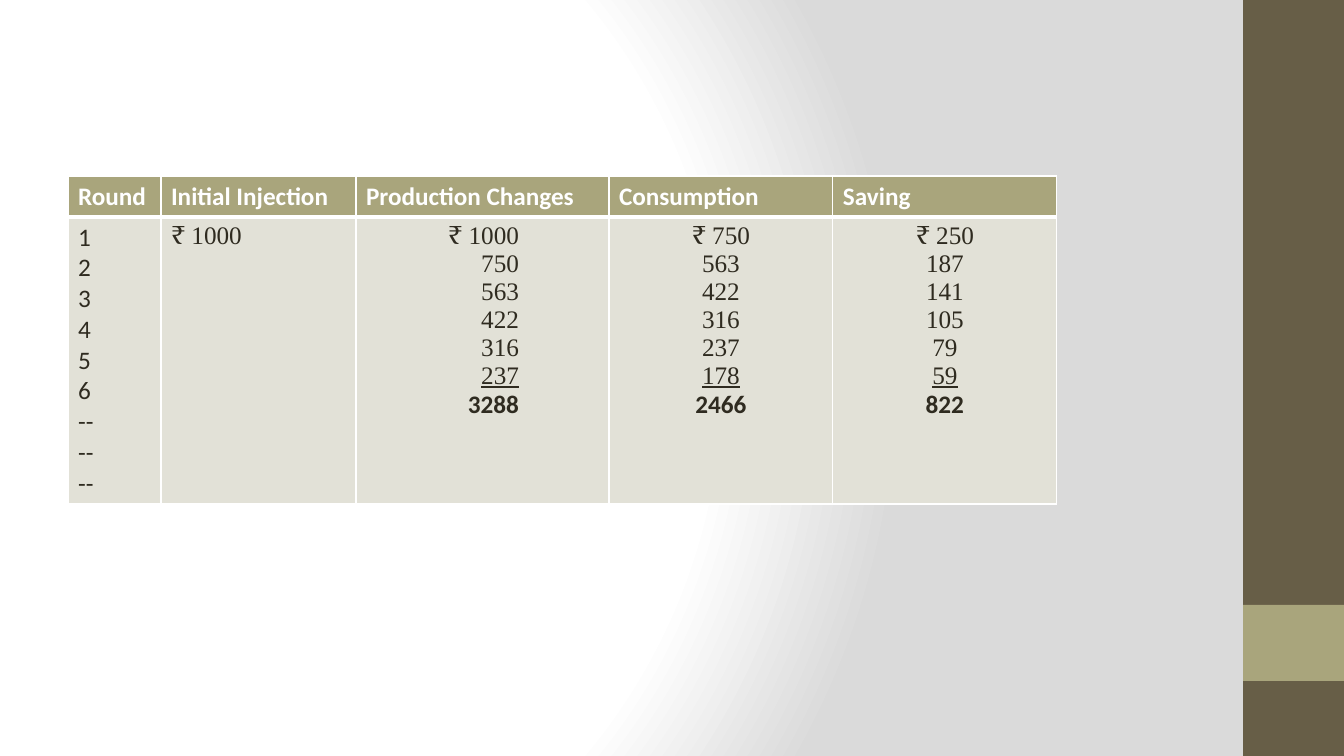
from dataclasses import dataclass

from pptx import Presentation, oxml, util as u
from pptx.dml.color import RGBColor
from pptx.enum import shapes, text
from pptx.oxml.ns import nsdecls, qn

PX = 914400 / 100.8


@dataclass(frozen=True)
class Theme:
    white: str = "FFFFFF"
    grey: str = "DADADA"
    brown: str = "675E47"
    olive: str = "A9A57C"
    pale: str = "E2E1D7"
    ink: str = "2F2B20"
    sans: str = "Calibri"
    serif: str = "Times New Roman"
    size: int = 18
    thin: int = 1
    thick: int = 3


def px(n):
    return u.Emu(round(n * PX))


class Deck:
    def __init__(self, theme):
        self.theme = theme
        self.prs = Presentation()
        self.prs.slide_width, self.prs.slide_height = px(1344), px(756)
        self.slide = self.prs.slides.add_slide(self.prs.slide_layouts[6])

    def glow(self):
        """Fill the background with a radial gradient."""
        fill = self.slide.background.fill
        fill.solid()
        stops = ((0, self.theme.white), (75, self.theme.white), (100, self.theme.grey))
        marks = "".join(
            f'<a:gs pos="{pos * 1000}"><a:srgbClr val="{tint}"/></a:gs>'
            for pos, tint in stops)
        grad = oxml.parse_xml(
            f'<a:gradFill {nsdecls("a")} rotWithShape="1"><a:gsLst>{marks}</a:gsLst>'
            '<a:path path="circle"><a:fillToRect l="20000" t="50000" r="100000" '
            'b="50000"/></a:path></a:gradFill>')
        solid = self.slide.element.find(".//" + qn("p:bgPr")).find(qn("a:solidFill"))
        solid.getparent().replace(solid, grad)

    def bar(self, x, y, w, h, tint):
        box = self.slide.shapes.add_shape(
            shapes.MSO_SHAPE.RECTANGLE, px(x), px(y), px(w), px(h))
        box.shadow.inherit = False
        box.fill.solid()
        box.fill.fore_color.rgb = RGBColor.from_string(tint)
        box.line.fill.background()

    def grid(self, x, y, cols, rows):
        frame = self.slide.shapes.add_table(
            len(rows), len(cols), px(x), px(y), px(sum(cols)), px(sum(rows)))
        table = frame.table
        table.horz_banding = False
        for col, wide in zip(table.columns, cols):
            col.width = px(wide)
        for row, high in zip(table.rows, rows):
            row.height = px(high)
        return table

    def edge(self, cell, **sides):
        props = cell._tc.get_or_add_tcPr()
        for side in "LRTB":
            width = sides.get(side, self.theme.thin)
            props.append(oxml.parse_xml(
                f'<a:ln{side} {nsdecls("a")} w="{u.Pt(width)}"><a:solidFill>'
                f'<a:srgbClr val="{self.theme.white}"/></a:solidFill></a:ln{side}>'))

    def cell(self, cell, lines, tint, ink, face, bold=False, align=None, **sides):
        self.edge(cell, **sides)
        cell.fill.solid()
        cell.fill.fore_color.rgb = RGBColor.from_string(tint)
        cell.text_frame.text = "\n".join(lines)
        for para in cell.text_frame.paragraphs:
            para.alignment = align
            for run in para.runs:
                font = run.font
                font.name, font.size, font.bold = face, u.Pt(self.theme.size), bold
                font.color.rgb = RGBColor.from_string(ink)

    def total(self, cell):
        """Underline the last addend and set the sum in bold."""
        *_, last, result = cell.text_frame.paragraphs
        last.runs[0].font.underline = True
        font = result.runs[0].font
        font.name, font.bold = self.theme.sans, True


HEADS = ["Round", "Initial Injection", "Production Changes", "Consumption", "Saving"]
ROUNDS = ["1", "2", "3", "4", "5", "6", "--", "--", "--"]
START = ["₹ 1000"]
SUMS = [
    ["₹ 1000", "750", "563", "422", "316", "237", "3288"],
    ["₹ 750", "563", "422", "316", "237", "178", "2466"],
    ["₹ 250", "187", "141", "105", "79", "59", "822"],
]


def main():
    look = Theme()
    deck = Deck(look)

    # Background and side bar
    deck.glow()
    deck.bar(1243, 0, 101, 756, look.brown)
    deck.bar(1243, 605, 101, 76, look.olive)

    # Table header
    table = deck.grid(68, 176, [93, 195, 253, 224, 224], [41, 283])
    for col, head in enumerate(HEADS):
        deck.cell(table.cell(0, col), [head], look.olive, look.white, look.sans,
                  bold=True, B=look.thick)

    # Table body
    mid, right = text.PP_ALIGN.CENTER, text.PP_ALIGN.RIGHT
    faces = [look.sans] + [look.serif] * 4
    aligns = [None, None, right, mid, mid]
    for col, lines in enumerate([ROUNDS, START, *SUMS]):
        cell = table.cell(1, col)
        deck.cell(cell, lines, look.pale, look.ink, faces[col],
                  align=aligns[col], T=look.thick)
        if lines in SUMS:
            deck.total(cell)
    table.cell(1, 2).margin_right = px(90)

    deck.prs.save("out.pptx")


if __name__ == "__main__":
    main()
